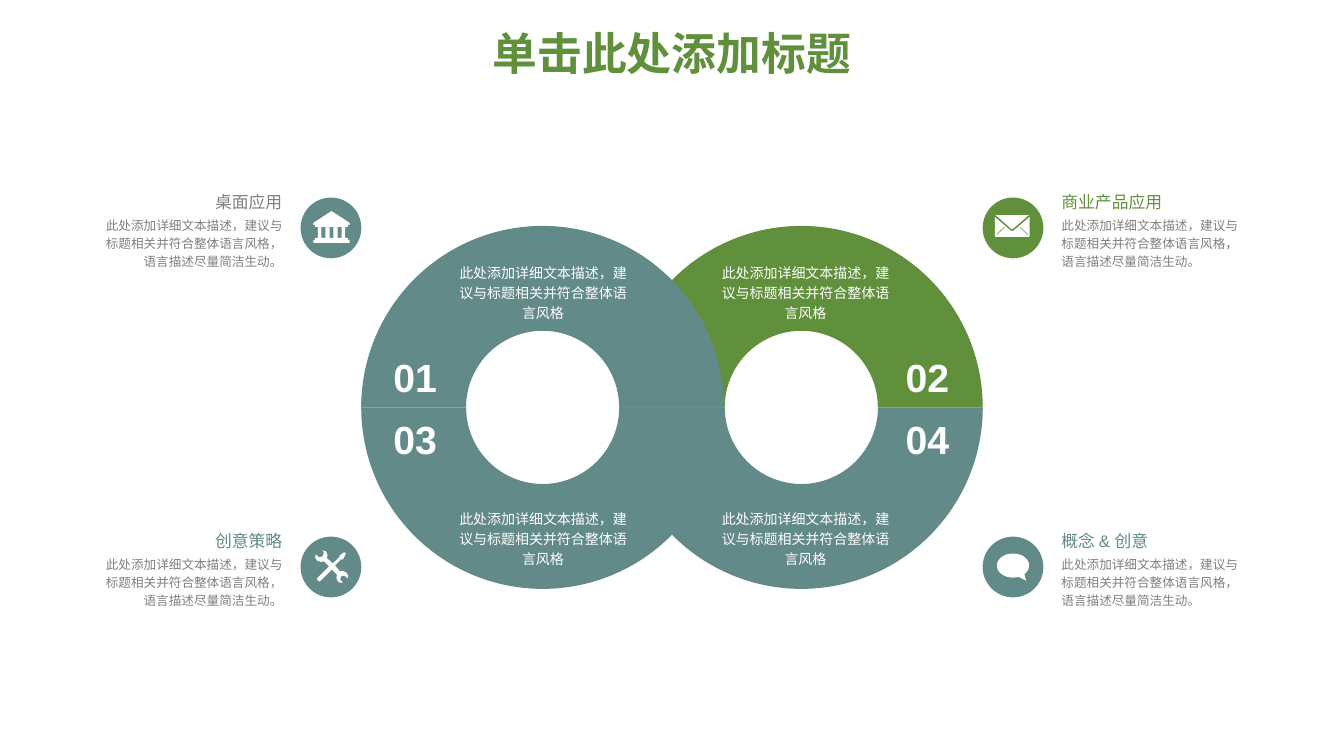
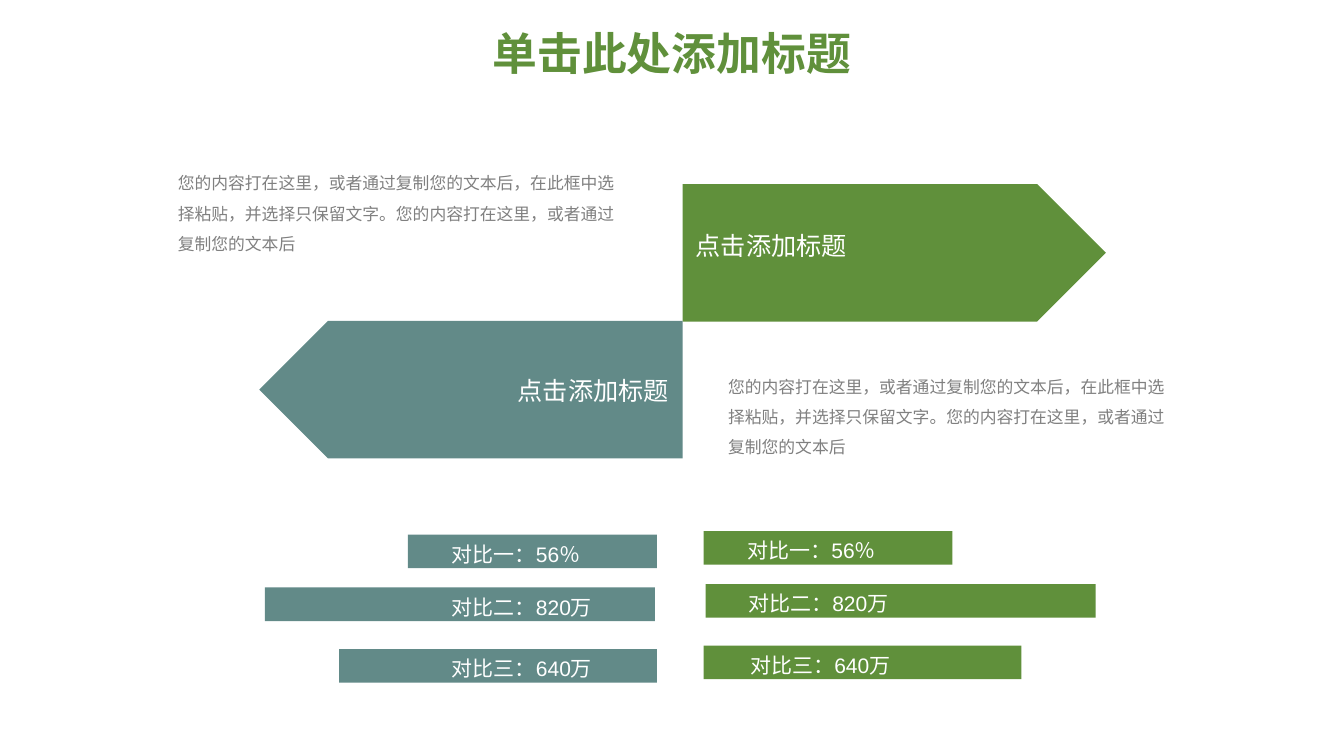
from math import cos, radians, sin

from pptx import Presentation
from pptx.dml.color import RGBColor
from pptx.enum.shapes import MSO_SHAPE
from pptx.enum.text import MSO_ANCHOR, PP_ALIGN
from pptx.util import Pt

GREEN = RGBColor(0x60, 0x90, 0x3B)
TEAL = RGBColor(0x62, 0x8A, 0x88)
GRAY = RGBColor(0x7F, 0x7F, 0x7F)
BODY_GRAY = RGBColor(0x80, 0x80, 0x80)
WHITE = RGBColor(0xFF, 0xFF, 0xFF)

FONT = "Arial"
TITLE = "单击此处添加标题"
NO_INSETS = (0, 0)
TEXT_INSETS = (9.6, 4.8)
DEFAULT_INSETS = (7.2, 3.6)

RING_SIZE = 259.2
RING_TOP = 161.4
RING_LEFT, RING_RIGHT = 258, 442.8
RING_TEXT = "此处添加详细文本描述，建议与标题相关并符合整体语言风格"
CAPTION_TEXT = RING_TEXT + "，语言描述尽量简洁生动。"
BADGE_SIZE = 43.4
LEFT_BADGE, RIGHT_BADGE = 236.4, 723.6
UPPER_BADGE, LOWER_BADGE = 162.8, 405

ARROW_TEXT = "点击添加标题"
ARROW_BODY = "您的内容打在这里，或者通过复制您的文本后，在此框中选择粘贴，并选择只保留文字。您的内容打在这里，或者通过复制您的文本后"

TOOLS = [
    (10.8, 4.3), (8.5, 3.2), (6.5, 3.6), (2.9, -0.7), (7.2, -5), (8.6, -5),
    (10.8, -9.4), (9.4, -10.1), (6.5, -7.9), (5.8, -6.5), (1.4, -2.2),
    (-2.9, -5.8), (-2.4, -8.1), (-3.6, -10.8), (-6.5, -11.5), (-5, -10.1),
    (-5.8, -7.2), (-8.6, -6.5), (-10.8, -8.6), (-11.3, -6.5), (-10.1, -4.3),
    (-7.5, -3.2), (-5, -3.6), (-1.4, 0), (-9.4, 7.9), (-10, 9), (-9.4, 10.1),
    (-8.3, 10.7), (-7.2, 10.1), (0.7, 2.2), (4.3, 5.8), (3.9, 8.5), (5, 10.8),
    (6.5, 11.7), (8.6, 11.5), (6.5, 9.4), (7.2, 7.2), (9.4, 6.5), (12.2, 8.6),
    (12.2, 6.3),
]


def add_page(deck):
    """Add a title-only slide with the shared title style."""
    page = deck.slides.add_slide(deck.slide_layouts[5])
    title = page.shapes.title
    title.left, title.top, title.width, title.height = Pt(66), Pt(18.7), Pt(828), Pt(43.2)
    title.text_frame.vertical_anchor = MSO_ANCHOR.MIDDLE
    write(title.text_frame, TITLE, 32, GREEN, PP_ALIGN.CENTER, 0.9, True)
    return page


def write(frame, text, size, color, align=PP_ALIGN.LEFT, spacing=1.0, bold=False):
    """Fill a text frame with one formatted paragraph."""
    frame.text = text
    para = frame.paragraphs[0]
    para.alignment = align
    para.line_spacing = spacing
    para.space_before = Pt(0)
    for span in para.runs:
        span.font.name = FONT
        span.font.size = Pt(size)
        span.font.bold = bold
        span.font.color.rgb = color


def add_text(page, left, top, width, height, text, size, color,
             insets=NO_INSETS, wrap=True, **style):
    """Add a text box holding one paragraph."""
    frame = page.shapes.add_textbox(Pt(left), Pt(top), Pt(width), Pt(height)).text_frame
    frame.margin_left = frame.margin_right = Pt(insets[0])
    frame.margin_top = frame.margin_bottom = Pt(insets[1])
    frame.word_wrap = wrap
    write(frame, text, size, color, **style)


def paint(shape, color):
    """Give a shape a flat fill with no line and no shadow."""
    shape.shadow.inherit = False
    shape.fill.solid()
    shape.fill.fore_color.rgb = color
    shape.line.fill.background()


def add_shape(page, kind, left, top, width, height, color):
    """Add a flat preset shape."""
    shape = page.shapes.add_shape(kind, Pt(left), Pt(top), Pt(width), Pt(height))
    paint(shape, color)
    return shape


def add_outline(page, x, y, contours):
    """Add a white freeform whose contours are offsets from a centre."""
    placed = [[(Pt(x + dx), Pt(y + dy)) for dx, dy in contour] for contour in contours]
    builder = page.shapes.build_freeform(*placed[0][0], scale=1.0)
    for index, points in enumerate(placed):
        if index:
            builder.move_to(*points[0])
        builder.add_line_segments(points[1:], close=True)
    paint(builder.convert_to_shape(), WHITE)


def mirror(points):
    """Return the points reflected across the vertical axis."""
    return [(-dx, dy) for dx, dy in points]


def bank_contours():
    """Return a columned building with three gaps."""
    half = [(0, -12), (13, -3.6), (13, -2.2), (11.8, -2.2), (11.8, -0.7), (9.8, -0.7),
            (9.8, 7.2), (11.8, 7.2), (11.8, 8.6), (13, 8.6), (13, 10.8)]
    gaps = [[(dx - 1.4, -0.7), (dx + 1.4, -0.7), (dx + 1.4, 7.2), (dx - 1.4, 7.2)]
            for dx in (-5.8, 0, 5.8)]
    return [half + mirror(half[:0:-1])] + gaps


def envelope_contours():
    """Return an envelope body with two slits and a flap."""
    body = [(-12.4, -7.8), (-1, 1.9), (0, 2.3), (1, 1.9), (12.4, -7.8),
            (12.4, 5.8), (11.8, 6.4), (-11.8, 6.4), (-12.4, 5.8)]
    slit = [(5.2, -0.5), (5.7, -0.8), (11.5, 4.7), (11, 5.2)]
    flap = [(-11.8, -9.1), (11.8, -9.1), (0.8, 0.5), (0, 0.8), (-0.8, 0.5)]
    return [body, slit, mirror(slit), flap]


def bubble_contours():
    """Return a speech bubble: an ellipse with a tail."""
    angles = [radians(degree) for degree in range(70, 406, 5)]
    return [[(11.5 * cos(angle), 8.6 * sin(angle)) for angle in angles] + [(9.4, 10.8)]]


def add_half_ring(page, left, color, lower):
    """Add the upper or lower half of a ring."""
    ring = add_shape(page, MSO_SHAPE.BLOCK_ARC, left, RING_TOP, RING_SIZE, RING_SIZE, color)
    for index, value in enumerate((107.995, 0.024, 0.289)):
        ring.adjustments[index] = value
    ring.rotation = 180 if lower else 0


def add_caption(page, x, y, heading, color, badge_color, icon, icon_x, icon_y):
    """Add a round icon badge with its heading and description."""
    on_left = x == LEFT_BADGE
    left = 72 if on_left else 758.2
    align = PP_ALIGN.RIGHT if on_left else PP_ALIGN.LEFT
    add_text(page, left, y - 9.3, 129.6, 43.9, CAPTION_TEXT, 9, GRAY, align=align, spacing=1.2)
    add_text(page, left, y - 24.4, 129.6, 25.2, heading, 12, color, align=align, spacing=0.9)
    add_shape(page, MSO_SHAPE.OVAL, x - BADGE_SIZE / 2, y - BADGE_SIZE / 2,
              BADGE_SIZE, BADGE_SIZE, badge_color)
    add_outline(page, icon_x, icon_y, icon)


def add_arrow(page, left, top, color, label_left, label_top, align, flipped=False):
    """Add a pentagon arrow with its label."""
    arrow = add_shape(page, MSO_SHAPE.PENTAGON, left, top, 302.4, 98.2, color)
    arrow.rotation = 180 if flipped else 0
    add_text(page, label_left, label_top, 257, 31.7, ARROW_TEXT, 18, WHITE,
             TEXT_INSETS, align=align)


def add_bar(page, left, top, width, color, label, label_left):
    """Add a comparison bar with its label."""
    add_shape(page, MSO_SHAPE.RECTANGLE, left, top, width, 24, color)
    add_text(page, label_left, top, 121.7, 28, label, 15, WHITE, TEXT_INSETS, wrap=False)


def build_rings(deck):
    """Build the slide with two linked rings and four captions."""
    page = add_page(deck)
    for left, color, lower in ((RING_RIGHT, GREEN, False), (RING_LEFT, TEAL, False),
                               (RING_LEFT, TEAL, True), (RING_RIGHT, TEAL, True)):
        add_half_ring(page, left, color, lower)
    rows = ((249.1, 186.5, ("01", "02")), (293, 362.2, ("03", "04")))
    for number_top, text_top, numbers in rows:
        for number, number_left, text_left in zip(numbers, (273.6, 639.4), (324.5, 512)):
            add_text(page, number_left, number_top, 46, 41, number, 28, WHITE,
                     DEFAULT_INSETS, wrap=False, align=PP_ALIGN.CENTER, bold=True)
            add_text(page, text_left, text_top, 126.7, 34.6, RING_TEXT, 10, WHITE,
                     align=PP_ALIGN.CENTER, spacing=1.2)
    add_caption(page, LEFT_BADGE, UPPER_BADGE, "桌面应用", GRAY, TEAL,
                bank_contours(), 236.8, 162.8)
    add_caption(page, LEFT_BADGE, LOWER_BADGE, "创意策略", TEAL, TEAL,
                [TOOLS], 236.4, 404.6)
    add_caption(page, RIGHT_BADGE, UPPER_BADGE, "商业产品应用", GREEN, GREEN,
                envelope_contours(), 723, 162.8)
    add_caption(page, RIGHT_BADGE, LOWER_BADGE, "概念 & 创意", TEAL, TEAL,
                bubble_contours(), 723.6, 404)


def build_comparison(deck):
    """Build the slide with two arrows and two sets of bars."""
    page = add_page(deck)
    add_arrow(page, 487.6, 131.5, GREEN, 487.4, 159.8, PP_ALIGN.LEFT)
    add_arrow(page, 185.2, 229.2, TEAL, 230.4, 263.5, PP_ALIGN.RIGHT, flipped=True)
    for left, top in ((117.4, 111.6), (510.5, 257)):
        add_text(page, left, top, 339.8, 74.9, ARROW_BODY, 12, BODY_GRAY,
                 TEXT_INSETS, spacing=1.5)
    bars = (("对比一：56％", 177.8, 381.8, 0, 524.2),
            ("对比二：820万", 278.6, 419.6, 1.4, 524.9),
            ("对比三：640万", 227, 463.6, 0, 526.3))
    for label, width, top, inset, right_label in bars:
        add_bar(page, 469.2 - inset - width, top, width, TEAL, label, 313.2)
        add_bar(page, 502.6 + inset, top - 2.4, width, GREEN, label, right_label)


def main():
    """Build and save the deck."""
    deck = Presentation()
    deck.slide_width, deck.slide_height = Pt(960), Pt(540)
    build_rings(deck)
    build_comparison(deck)
    deck.save("out.pptx")


if __name__ == "__main__":
    main()
